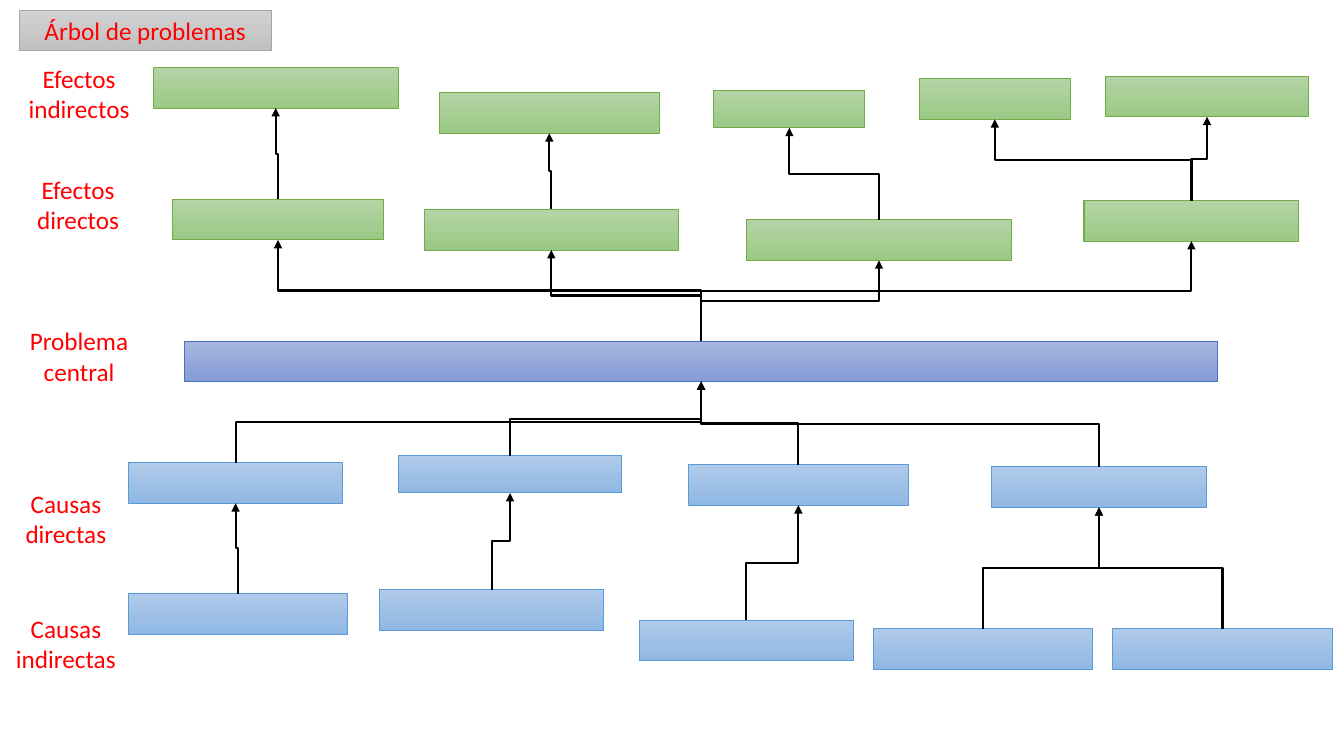
from typing import NamedTuple

from lxml import etree
from pptx import Presentation
from pptx.dml.color import RGBColor
from pptx.enum.shapes import MSO_CONNECTOR, MSO_SHAPE
from pptx.enum.text import MSO_ANCHOR, MSO_AUTO_SIZE, PP_ALIGN
from pptx.oxml.ns import qn
from pptx.shapes.autoshape import Shape
from pptx.slide import Slide
from pptx.util import Pt

RECTANGLE = MSO_SHAPE.RECTANGLE
ELBOW = MSO_CONNECTOR.ELBOW
CENTER = PP_ALIGN.CENTER
MIDDLE, TOP = MSO_ANCHOR.MIDDLE, MSO_ANCHOR.TOP
NO_AUTOFIT = MSO_AUTO_SIZE.NONE

RED = RGBColor(0xFF, 0x00, 0x00)
BLACK = RGBColor(0x00, 0x00, 0x00)
FONT = "Calibri"
TOP_SITE, BOTTOM_SITE = 0, 2


class Palette(NamedTuple):
    light: RGBColor
    dark: RGBColor
    border: RGBColor


class Box(NamedTuple):
    left: float
    top: float
    width: float
    height: float = 29


class Label(NamedTuple):
    text: str
    left: float
    top: float


GRAY = Palette(RGBColor(0xD2, 0xD2, 0xD2), RGBColor(0xC0, 0xC0, 0xC0), RGBColor(0xA5, 0xA5, 0xA5))
GREEN = Palette(RGBColor(0xB4, 0xD4, 0xA5), RGBColor(0x9B, 0xC9, 0x85), RGBColor(0x70, 0xAD, 0x47))
INDIGO = Palette(RGBColor(0xA6, 0xB6, 0xDE), RGBColor(0x85, 0x9C, 0xD7), RGBColor(0x44, 0x72, 0xC4))
BLUE = Palette(RGBColor(0xB0, 0xCA, 0xE9), RGBColor(0x90, 0xB8, 0xE4), RGBColor(0x5B, 0x9B, 0xD5))

TITLE = Box(13.7, 7.2, 180)
CENTRAL_PROBLEM = Box(131.8, 243.6, 738)
INDIRECT_EFFECTS = [
    Box(109.4, 48.2, 175), Box(313.9, 66.2, 157), Box(509.8, 64.8, 108, 26.6),
    Box(656.6, 56.2, 108), Box(789.8, 54.4, 144.7),
]
DIRECT_EFFECTS = [
    Box(123.1, 142.4, 151), Box(303.1, 149.6, 181.4),
    Box(533.5, 157, 188.8), Box(774.3, 143.3, 153.4),
]
DIRECT_CAUSES = [
    Box(91.6, 330.5, 153.4), Box(284.4, 325.6, 159.8, 26.6),
    Box(491.8, 331.9, 157), Box(708.3, 333.4, 153.4),
]
INDIRECT_CAUSES = [
    Box(91.6, 424, 156.4), Box(271.4, 421.2, 159.8), Box(456.6, 443, 152.8),
    Box(623.7, 449, 157), Box(794.7, 449, 157),
]
LABELS = [
    Label("Efectos indirectos", 0, 41.8),
    Label("Efectos directos", -0.7, 121),
    Label("Problema central", 0, 229),
    Label("Causas directas", -9.4, 344.9),
    Label("Causas indirectas", -9.4, 434.2),
]


def place(shape: Shape, box: Box) -> None:
    shape.left, shape.top = Pt(box.left), Pt(box.top)
    shape.width, shape.height = Pt(box.width), Pt(box.height)


def paint(shape: Shape, palette: Palette, border_width: float) -> None:
    """Apply a top-to-bottom gradient and a thin border."""
    shape.fill.gradient()
    shape.fill.gradient_angle = 270
    for stop, color in zip(shape.fill.gradient_stops, (palette.light, palette.dark)):
        stop.color.rgb = color
    shape.line.color.rgb = palette.border
    shape.line.width = Pt(border_width)


def write(shape: Shape, text: str, anchor: MSO_ANCHOR) -> None:
    frame = shape.text_frame
    frame.word_wrap = True
    frame.auto_size = NO_AUTOFIT
    frame.vertical_anchor = anchor
    paragraph = frame.paragraphs[0]
    paragraph.alignment = CENTER
    paragraph.line_spacing = 1.0
    paragraph.space_before = Pt(0)
    run = paragraph.add_run()
    run.text = text
    run.font.name = FONT
    run.font.size = Pt(18)
    run.font.color.rgb = RED


def add_box(slide: Slide, box: Box, palette: Palette) -> Shape:
    shape = slide.shapes.add_shape(
        RECTANGLE, Pt(box.left), Pt(box.top), Pt(box.width), Pt(box.height))
    shape.shadow.inherit = False
    paint(shape, palette, 0.75)
    return shape


def add_arrow(slide: Slide, lower: Shape, upper: Shape) -> None:
    """Link the top of one box to the bottom of another, leaving vertically."""
    start_x, start_y = lower.left + lower.width // 2, lower.top
    end_x, end_y = upper.left + upper.width // 2, upper.top + upper.height
    arrow = slide.shapes.add_connector(ELBOW, start_x, start_y, end_x, end_y)
    arrow.begin_connect(lower, TOP_SITE)
    arrow.end_connect(upper, BOTTOM_SITE)
    arrow.line.color.rgb = BLACK
    arrow.line.width = Pt(1.5)

    # The elbow is turned a quarter, so its width is the vertical distance.
    rise, shift = start_y - end_y, abs(end_x - start_x)
    arrow.left = (start_x + end_x - rise) // 2
    arrow.top = (start_y + end_y - shift) // 2
    arrow.width, arrow.height = rise, shift
    goes_left = end_x < start_x
    properties = arrow.line._get_or_add_ln().getparent()
    transform = properties.find(qn("a:xfrm"))
    transform.set("rot", "16200000" if goes_left else "5400000")
    transform.set("flipH", "0" if goes_left else "1")
    transform.set("flipV", "1")

    etree.SubElement(properties.find(qn("a:ln")), qn("a:tailEnd"), type="triangle")
    etree.SubElement(properties, qn("a:effectLst"))


def main() -> None:
    presentation = Presentation()
    presentation.slide_width, presentation.slide_height = Pt(960), Pt(540)
    slide = presentation.slides.add_slide(presentation.slide_layouts[5])

    title = slide.shapes.title
    place(title, TITLE)
    paint(title, GRAY, 0.5)
    write(title, "Árbol de problemas", MIDDLE)

    central = add_box(slide, CENTRAL_PROBLEM, INDIGO)
    indirect_effects = [add_box(slide, box, GREEN) for box in INDIRECT_EFFECTS]
    direct_effects = [add_box(slide, box, GREEN) for box in DIRECT_EFFECTS]
    direct_causes = [add_box(slide, box, BLUE) for box in DIRECT_CAUSES]
    indirect_causes = [add_box(slide, box, BLUE) for box in INDIRECT_CAUSES]

    # The last direct box of each half has two indirect ones.
    links = [(central, effect) for effect in direct_effects]
    links += zip(direct_effects + direct_effects[-1:], indirect_effects)
    links += [(cause, central) for cause in direct_causes]
    links += zip(indirect_causes, direct_causes + direct_causes[-1:])
    for lower, upper in links:
        add_arrow(slide, lower, upper)

    for label in LABELS:
        caption = slide.shapes.add_textbox(Pt(label.left), Pt(label.top), Pt(113), Pt(51))
        write(caption, label.text, TOP)

    presentation.save("out.pptx")


if __name__ == "__main__":
    main()
